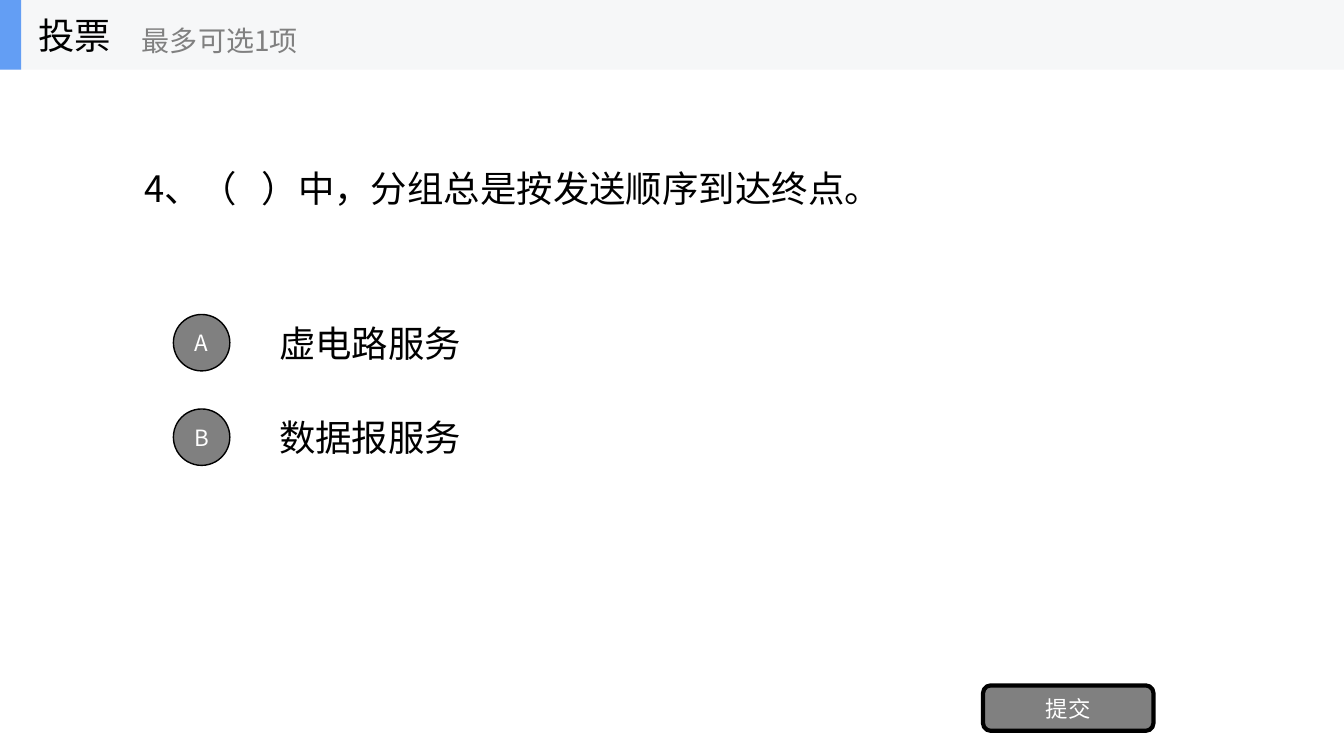
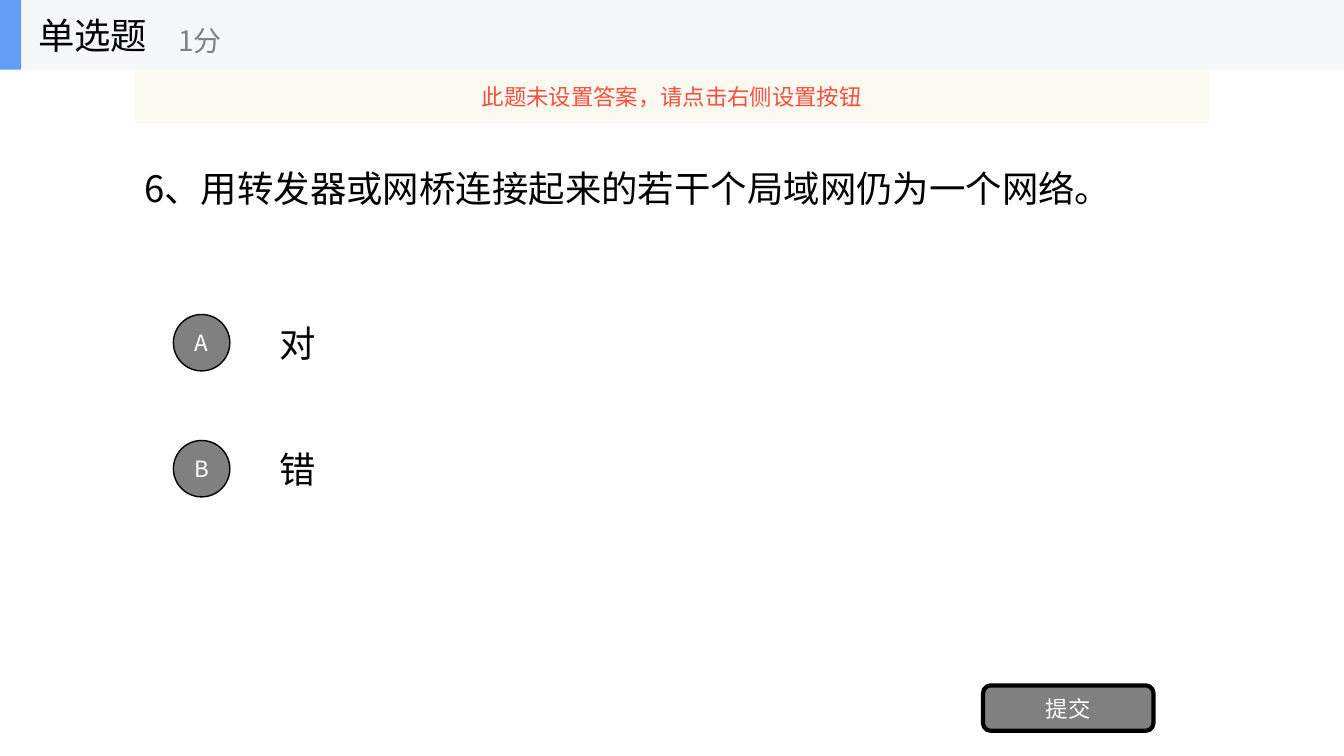
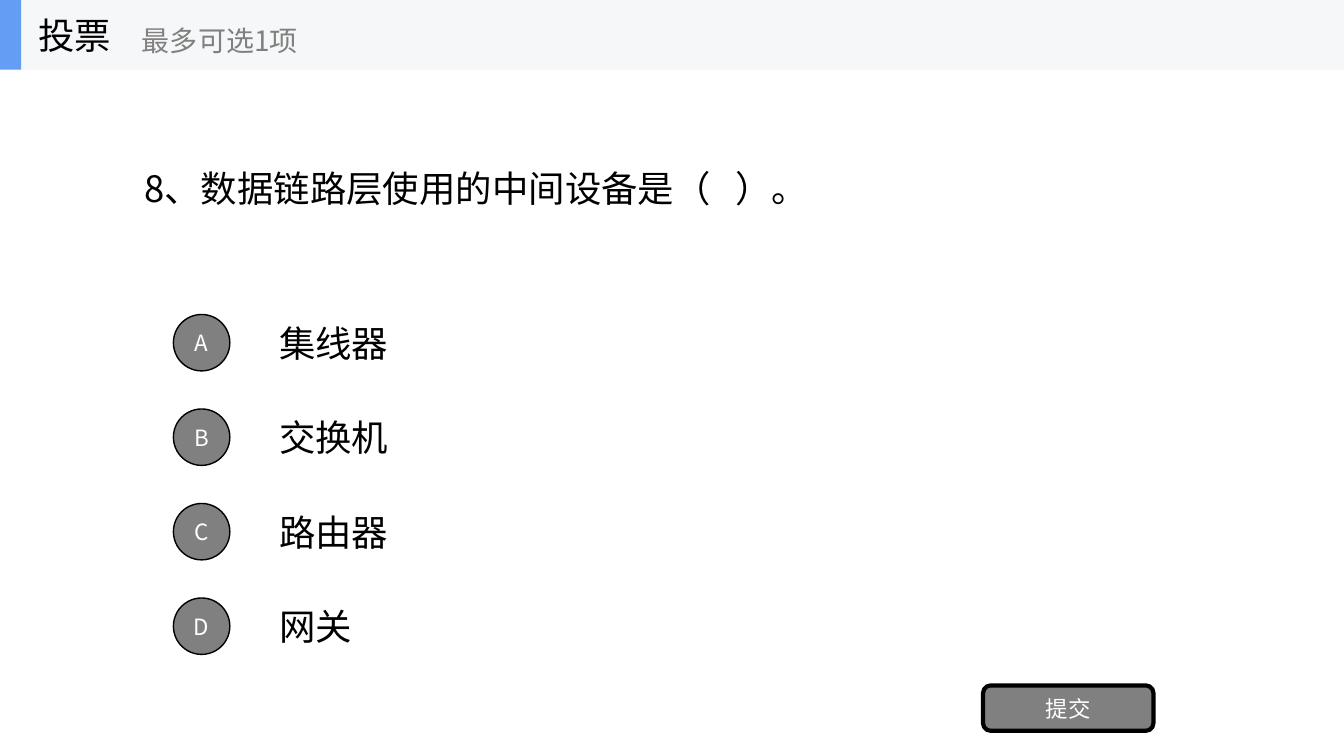
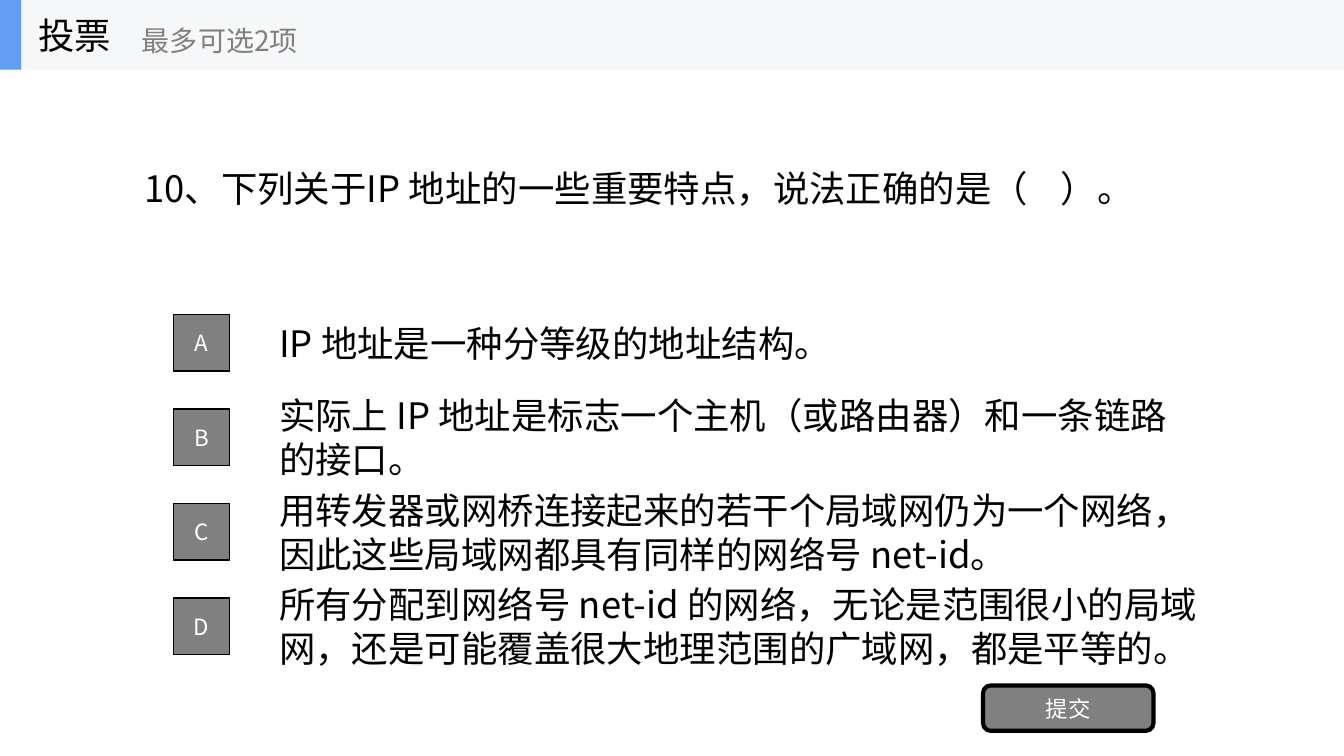
from lxml import etree
from pptx import Presentation
from pptx import util as u
from pptx.dml.color import RGBColor
from pptx.enum import shapes, text
from pptx.oxml.ns import qn

FONT = "Noto Sans CJK SC"
COLORS = {
    "ink": "000000", "white": "FFFFFF", "gray": "808080",
    "band": "F6F7F8", "accent": "639EF4",
    "notice": "FBFAEF", "warning": "F84F41",
}
SLIDE_WIDTH, SLIDE_HEIGHT = 13.33, 7.5
BAND_HEIGHT = 0.69
CONTENT_LEFT, CONTENT_WIDTH = 1.33, 10.67
OPTIONS_TOP, OPTIONS_HEIGHT = 3.05, 3.75
OPTION_HEIGHT, MARKER_SIZE = 0.7, 0.56

SHAPE = shapes.MSO_SHAPE
LEFT, CENTER = text.PP_ALIGN.LEFT, text.PP_ALIGN.CENTER


def color(name):
    return RGBColor.from_string(COLORS[name])


def write(shape, words, size=26, ink="ink", align=LEFT, wrap=True, margin=None):
    """Put one formatted paragraph, vertically centred, in a shape."""
    frame = shape.text_frame
    frame.text = words
    frame.word_wrap = wrap
    frame.auto_size = text.MSO_AUTO_SIZE.NONE
    frame.vertical_anchor = text.MSO_ANCHOR.MIDDLE
    if margin is not None:
        frame.margin_left = frame.margin_right = u.Inches(margin)
        frame.margin_top = frame.margin_bottom = u.Inches(margin)
    paragraph = frame.paragraphs[0]
    paragraph.alignment = align
    for run in paragraph.runs:
        run.font.name = FONT
        run.font.size = u.Pt(size)
        run.font.color.rgb = color(ink)
        # East Asian characters take their typeface from a:ea
        properties = run.font._element
        east_asian = etree.Element(qn("a:ea"), typeface=FONT)
        properties.find(qn("a:latin")).addnext(east_asian)


class QuizDeck:
    def __init__(self):
        self.presentation = Presentation()
        self.presentation.slide_width = u.Inches(SLIDE_WIDTH)
        self.presentation.slide_height = u.Inches(SLIDE_HEIGHT)
        self.slide = None

    # Basic elements
    def label(self, words, left, top, width, height, **style):
        box = self.slide.shapes.add_textbox(
            *map(u.Inches, (left, top, width, height)))
        write(box, words, **style)

    def block(self, kind, left, top, width, height, fill, line=0, opacity=100):
        shape = self.slide.shapes.add_shape(
            kind, *map(u.Inches, (left, top, width, height)))
        shape.shadow.inherit = False
        shape.fill.solid()
        shape.fill.fore_color.rgb = color(fill)
        if opacity < 100:
            rgb = shape.element.spPr.find(".//" + qn("a:srgbClr"))
            etree.SubElement(rgb, qn("a:alpha"), val=str(opacity * 1000))
        if line:
            shape.line.color.rgb = color("ink")
            shape.line.width = u.Pt(line)
        else:
            shape.line.fill.background()
        return shape

    # Parts of a quiz slide
    def question(self, words):
        title = self.slide.shapes.title
        title.left, title.top = u.Inches(CONTENT_LEFT), u.Inches(BAND_HEIGHT)
        title.width, title.height = u.Inches(CONTENT_WIDTH), u.Inches(2.34)
        write(title, words)

    def options(self, answers, rows, marker):
        step = OPTIONS_HEIGHT / rows
        inset = (OPTION_HEIGHT - MARKER_SIZE) / 2
        for index, (letter, answer) in enumerate(zip("ABCD", answers)):
            top = OPTIONS_TOP + index * step
            self.label(answer, 2.67, top, 9.33, OPTION_HEIGHT)
            shape = self.block(marker, 1.72, top + inset,
                               MARKER_SIZE, MARKER_SIZE, "gray", line=1)
            write(shape, letter, size=16, ink="white", align=CENTER, margin=0)

    def submit_button(self):
        button = self.block(SHAPE.ROUNDED_RECTANGLE, 9.75, 6.8, 1.69, 0.45,
                            "gray", line=3)
        write(button, "提交", size=16, ink="white", align=CENTER, margin=0)

    def header(self, kind, hint):
        self.block(SHAPE.RECTANGLE, 0, 0, SLIDE_WIDTH, BAND_HEIGHT, "band")
        self.block(SHAPE.RECTANGLE, 0, 0, 0.21, BAND_HEIGHT, "accent")
        self.label(kind, 0.28, 0, 2.08, BAND_HEIGHT, wrap=False)
        # The hint follows the kind, one character being 0.36 inch wide
        self.label(hint, 0.59 + 0.36 * len(kind), 0.12, 2.5, 0.56,
                   size=20, ink="gray", wrap=False)

    def notice(self, words):
        strip = self.block(SHAPE.RECTANGLE, CONTENT_LEFT, BAND_HEIGHT,
                           CONTENT_WIDTH, 0.53, "notice", opacity=90)
        write(strip, words, size=16, ink="warning", align=CENTER)

    def quiz(self, kind, hint, question, answers, rows=4, marker=SHAPE.OVAL,
             notice=None):
        layout = self.presentation.slide_layouts.get_by_name("Title Only")
        self.slide = self.presentation.slides.add_slide(layout)
        self.question(question)
        self.options(answers, rows, marker)
        self.submit_button()
        self.header(kind, hint)
        if notice:
            self.notice(notice)


def main():
    deck = QuizDeck()
    deck.quiz("投票", "最多可选1项",
              "4、（   ）中，分组总是按发送顺序到达终点。",
              ["虚电路服务", "数据报服务"])
    deck.quiz("单选题", "1分",
              "6、用转发器或网桥连接起来的若干个局域网仍为一个网络。",
              ["对", "错"], rows=3,
              notice="此题未设置答案，请点击右侧设置按钮")
    deck.quiz("投票", "最多可选1项",
              "8、数据链路层使用的中间设备是（   ）。",
              ["集线器", "交换机", "路由器", "网关"])
    deck.quiz("投票", "最多可选2项",
              "10、下列关于IP 地址的一些重要特点，说法正确的是（    ）。",
              ["IP 地址是一种分等级的地址结构。",
               "实际上 IP 地址是标志一个主机（或路由器）和一条链路的接口。",
               "用转发器或网桥连接起来的若干个局域网仍为一个网络，"
               "因此这些局域网都具有同样的网络号 net-id。",
               "所有分配到网络号 net-id 的网络，无论是范围很小的局域网，"
               "还是可能覆盖很大地理范围的广域网，都是平等的。"],
              marker=SHAPE.RECTANGLE)
    deck.presentation.save("out.pptx")


if __name__ == "__main__":
    main()
